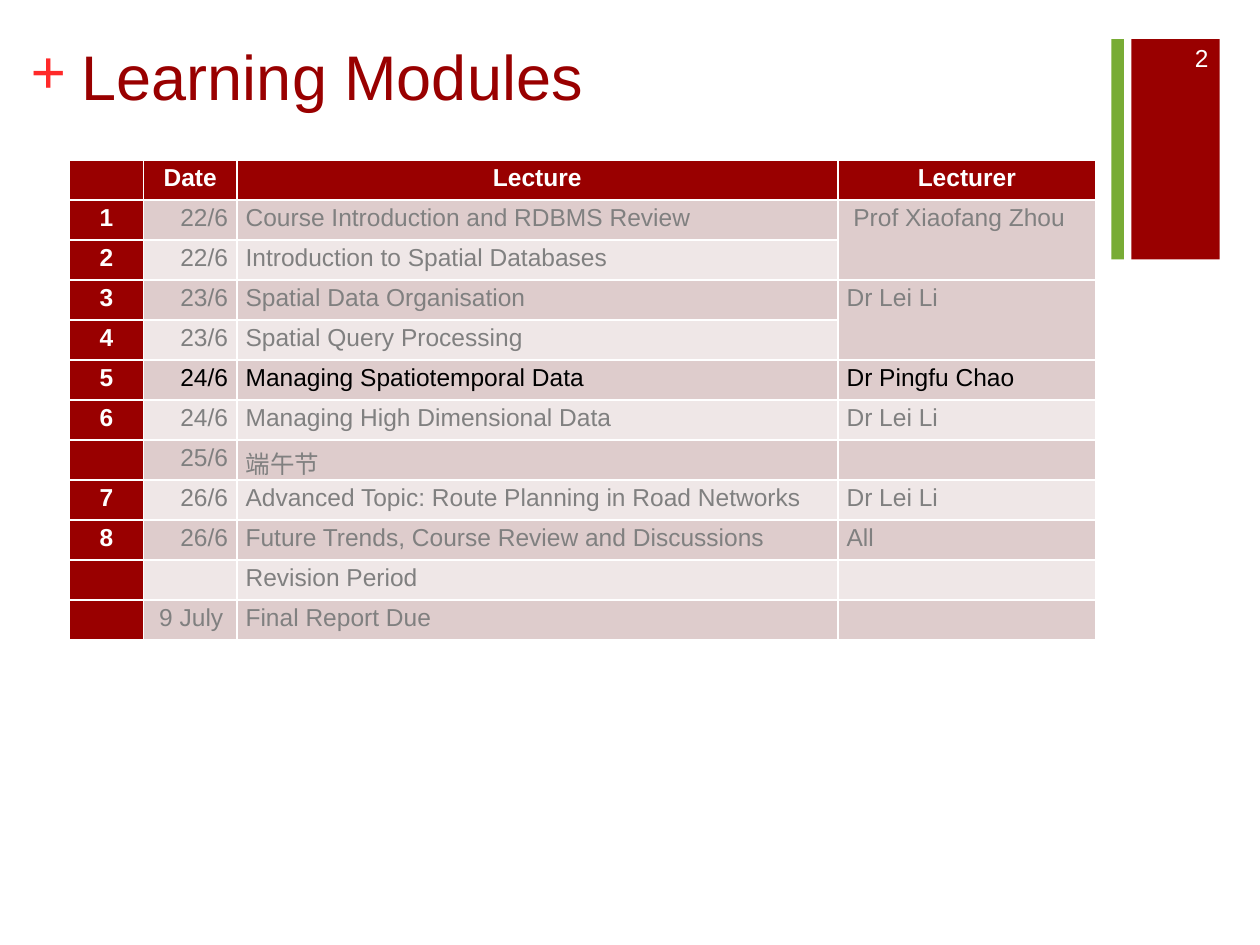
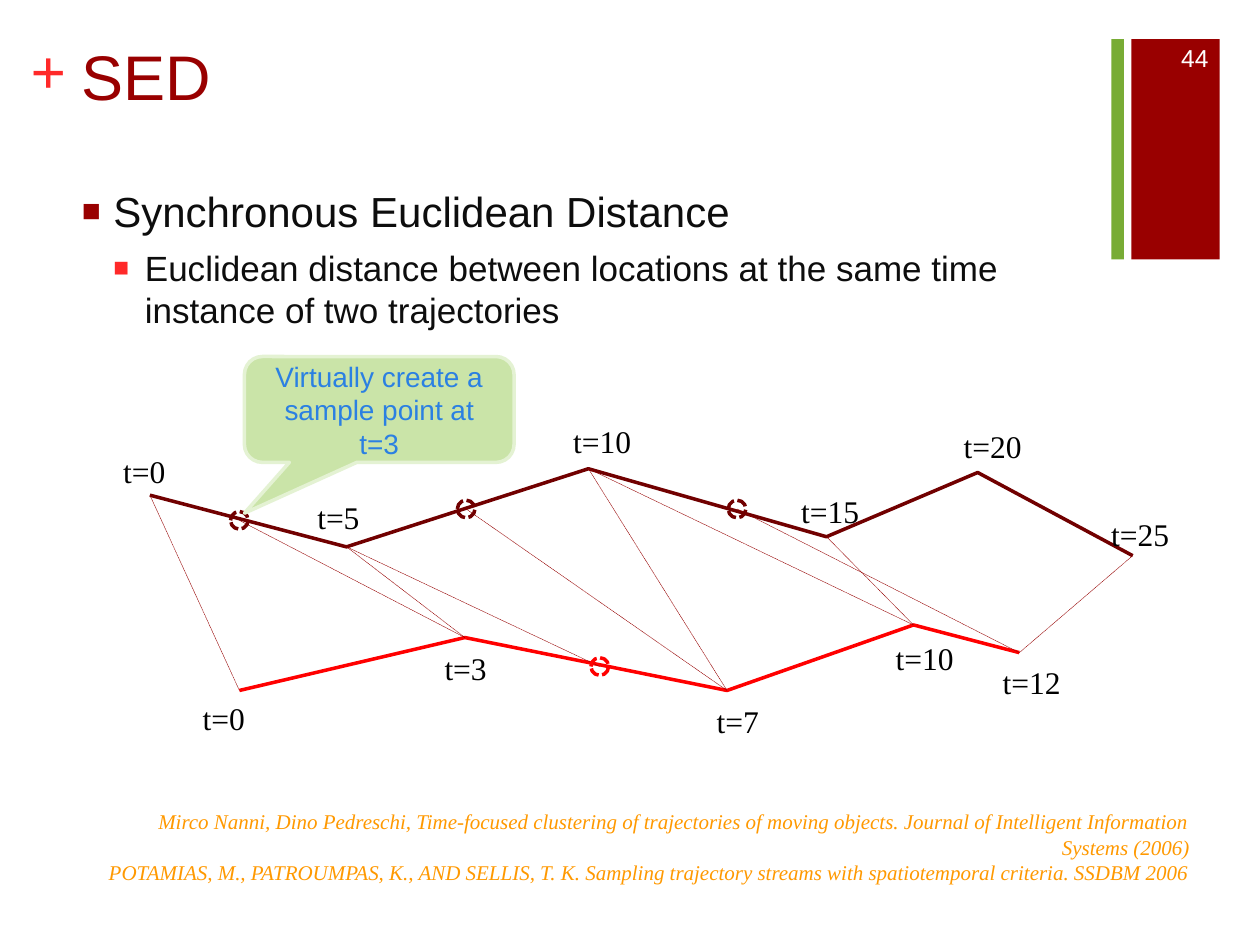
from lxml import etree
from pptx import Presentation
from pptx import util as u
from pptx.dml.color import RGBColor
from pptx.enum import dml, shapes, text
from pptx.oxml.ns import qn

COLORS = {
    "crimson": "990000", "red": "FF2929", "green": "78AC35", "white": "FFFFFF",
    "black": "000000", "body": "0D0D0D", "muted": "808080",
    "row_odd": "DECCCC", "row_even": "EFE7E7", "citation": "FF9900",
    "upper": "710000", "lower": "FF0000", "link": "960000",
    "callout": "CAE4A8", "callout_edge": "E4F2D3", "callout_text": "2B80E2",
}
SANS, SERIF = "Arial", "Times New Roman"
LEFT, CENTER, RIGHT = text.PP_ALIGN.LEFT, text.PP_ALIGN.CENTER, text.PP_ALIGN.RIGHT

HEADER = ("", "Date", "Lecture", "Lecturer")
MODULES = [
    ("1", "22/6", "Course Introduction and RDBMS Review", " Prof Xiaofang Zhou"),
    ("2", "22/6", "Introduction to Spatial Databases", ""),
    ("3", "23/6", "Spatial Data Organisation", "Dr Lei Li"),
    ("4", "23/6", "Spatial Query Processing", ""),
    ("5", "24/6", "Managing Spatiotemporal Data", "Dr Pingfu Chao"),
    ("6", "24/6", "Managing High Dimensional Data", "Dr Lei Li"),
    ("", "25/6", "端午节", ""),
    ("7", "26/6", "Advanced Topic: Route Planning in Road Networks", "Dr Lei Li"),
    ("8", "26/6", "Future Trends, Course Review and Discussions", "All"),
    ("", "", "Revision Period", ""),
    ("", " 9 July", "Final Report Due", ""),
]
CURRENT_MODULE = "5"
SHARED_LECTURER_ROWS = [(1, 2), (3, 4)]
COLUMN_WIDTHS = (0.59, 0.74, 4.77, 2.05)

# text, level, size, bullet colour, space before
DEFINITION = [
    ("Synchronous Euclidean Distance", 0, 24, "crimson", 0),
    ("Euclidean distance between locations at the same time instance of two trajectories",
     1, 20, "red", 6),
]
CITATIONS = [
    "Mirco Nanni, Dino Pedreschi, Time-focused clustering of trajectories of moving objects. "
    "Journal of Intelligent Information Systems (2006)",
    "POTAMIAS, M., PATROUMPAS, K., AND SELLIS, T. K. Sampling trajectory streams with "
    "spatiotemporal criteria. SSDBM 2006",
]
# time: (point, left and top of its label)
TRAJECTORIES = {
    "upper": {0: ((1.19, 3.93), (0.88, 3.54)), 5: ((2.75, 4.34), (2.42, 3.9)),
              10: ((4.67, 3.72), (4.45, 3.3)), 15: ((6.56, 4.26), (6.26, 3.86)),
              20: ((7.76, 3.75), (7.55, 3.34)), 25: ((8.99, 4.41), (8.72, 4.04))},
    "lower": {0: ((1.9, 5.48), (1.51, 5.5)), 3: ((3.69, 5.06), (3.43, 5.1)),
              7: ((5.77, 5.48), (5.59, 5.52)), 10: ((7.25, 4.96), (7.01, 5.02)),
              12: ((8.09, 5.18), (7.86, 5.21))},
}
VIRTUAL_POINTS = {
    "upper": {3: (1.9, 4.13), 7: (3.7, 4.04), 12: (5.85, 4.04)},
    "lower": {5: (4.76, 5.29)},
}
# time on the upper trajectory, time on the lower one
LINKS = [(0, 0), (3, 3), (5, 5), (12, 12), (10, 10), (7, 7), (5, 3), (15, 10), (10, 7), (25, 12)]


def rgb(name):
    return RGBColor.from_string(COLORS[name])


def inches(*values):
    return [u.Inches(value) for value in values]


def style(paragraph, size, color, font=SANS, align=LEFT, bold=False, italic=False):
    paragraph.alignment = align
    paragraph.font.size = u.Pt(size)
    paragraph.font.name = font
    paragraph.font.bold = bold
    paragraph.font.italic = italic
    paragraph.font.color.rgb = rgb(color)


def outline(shape, color, width, dashed=False):
    shape.line.color.rgb = rgb(color)
    shape.line.width = u.Pt(width)
    if dashed:
        shape.line.dash_style = dml.MSO_LINE.SQUARE_DOT


def add_text(slide, box, lines, size, color, wrap=True, inset=True, **options):
    frame = slide.shapes.add_textbox(*inches(*box)).text_frame
    frame.word_wrap = wrap
    if not wrap:
        frame.auto_size = text.MSO_AUTO_SIZE.SHAPE_TO_FIT_TEXT
    if not inset:
        frame.margin_left = frame.margin_top = frame.margin_right = frame.margin_bottom = 0
    frame.text = "\n".join(lines)
    for paragraph in frame.paragraphs:
        style(paragraph, size, color, **options)
    return frame


def add_shape(slide, kind, box, fill=None):
    shape = slide.shapes.add_shape(kind, *inches(*box))
    shape.shadow.inherit = False
    if fill:
        shape.fill.solid()
        shape.fill.fore_color.rgb = rgb(fill)
    else:
        shape.fill.background()
    return shape


def place(placeholder, box):
    placeholder.left, placeholder.top, placeholder.width, placeholder.height = inches(*box)
    placeholder.text_frame.vertical_anchor = text.MSO_ANCHOR.TOP
    placeholder.text_frame.auto_size = text.MSO_AUTO_SIZE.NONE
    return placeholder.text_frame


def add_slide(presentation, layout, title, number):
    """Add a slide with the shared bands, plus sign, title and page number."""
    slide = presentation.slides.add_slide(presentation.slide_layouts[layout])
    for left, width, color in ((8.98, 0.7, "crimson"), (8.82, 0.1, "green")):
        band = add_shape(slide, shapes.MSO_SHAPE.RECTANGLE, (left, 0.31, width, 1.75), color)
        band.line.fill.background()
    add_text(slide, (0.24, 0.25, 0.29, 0.61), ["+"], 36, "red",
             inset=False, font=SERIF, bold=True)
    frame = place(slide.shapes.title, (0.55, 0.2, 8.26, 1.22))
    frame.margin_top = u.Inches(0.1)
    frame.text = title
    style(frame.paragraphs[0], 36, "crimson")
    frame = add_text(slide, (9.08, 0.26, 0.61, 0.4), [str(number)], 14, "white", align=RIGHT)
    frame.vertical_anchor = text.MSO_ANCHOR.MIDDLE
    return slide


def add_module_table(slide):
    rows = [HEADER] + MODULES
    table = slide.shapes.add_table(len(rows), len(HEADER),
                                   *inches(0.55, 1.27, sum(COLUMN_WIDTHS), 3.81)).table
    table.first_col = True
    for column, width in zip(table.columns, COLUMN_WIDTHS):
        column.width = u.Inches(width)
    for r, row in enumerate(rows):
        for c, value in enumerate(row):
            heading = r == 0 or c == 0
            cell = table.cell(r, c)
            cell.margin_left = cell.margin_right = u.Inches(0.07)
            cell.margin_top = cell.margin_bottom = 0
            cell.fill.solid()
            cell.fill.fore_color.rgb = rgb(
                "crimson" if heading else "row_odd" if r % 2 else "row_even")
            cell.text = value
            color = "white" if heading else "black" if row[0] == CURRENT_MODULE else "muted"
            align = CENTER if heading else RIGHT if c == 1 and "/" in value else LEFT
            paragraph = cell.text_frame.paragraphs[0]
            paragraph.line_spacing = 1.15
            style(paragraph, 14, color, align=align, bold=heading)
    for first, last in SHARED_LECTURER_ROWS:
        table.cell(first, 3).merge(table.cell(last, 3))


def add_bullet(paragraph, color, left):
    properties = paragraph._p.get_or_add_pPr()
    properties.set("marL", str(u.Inches(left)))
    properties.set("indent", str(u.Inches(-0.25)))
    bullet_color = etree.SubElement(properties, qn("a:buClr"))
    etree.SubElement(bullet_color, qn("a:srgbClr"), val=COLORS[color])
    etree.SubElement(properties, qn("a:buSzPct"), val="75000")
    etree.SubElement(properties, qn("a:buFont"), typeface=SANS)
    etree.SubElement(properties, qn("a:buChar"), char="■")


def add_definition(slide):
    frame = place(slide.placeholders[1], (0.55, 1.42, 8.26, 5.42))
    frame.text = "\n".join(item[0] for item in DEFINITION)
    for paragraph, (_, level, size, color, before) in zip(frame.paragraphs, DEFINITION):
        paragraph.level = level
        paragraph.space_before = u.Pt(before)
        add_bullet(paragraph, color, 0.25 * (level + 1))
        style(paragraph, size, "body")


def add_trajectory(slide, name):
    points = [inches(*point) for point, _ in TRAJECTORIES[name].values()]
    builder = slide.shapes.build_freeform(*points[0])
    builder.add_line_segments(points[1:], close=False)
    line = builder.convert_to_shape()
    line.shadow.inherit = False
    line.fill.background()
    outline(line, name, 2)
    for time, (_, corner) in TRAJECTORIES[name].items():
        width = 0.54 if time < 10 else 0.67
        add_text(slide, (*corner, width, 0.4), [f"t={time}"], 18, "black",
                 wrap=False, font=SERIF)


def add_virtual_points(slide, name):
    size = 0.14
    for x, y in VIRTUAL_POINTS[name].values():
        box = (x - size / 2, y - size / 2, size, size)
        outline(add_shape(slide, shapes.MSO_SHAPE.OVAL, box), name, 2, dashed=True)


def find_point(name, time):
    if time in VIRTUAL_POINTS[name]:
        return VIRTUAL_POINTS[name][time]
    return TRAJECTORIES[name][time][0]


def add_links(slide):
    for upper_time, lower_time in LINKS:
        ends = find_point("upper", upper_time) + find_point("lower", lower_time)
        link = slide.shapes.add_connector(shapes.MSO_CONNECTOR.STRAIGHT, *inches(*ends))
        outline(link, "link", 0.25, dashed=True)
        etree.SubElement(link._element.spPr, qn("a:effectLst"))


def add_callout(slide):
    callout = add_shape(slide, shapes.MSO_SHAPE.ROUNDED_RECTANGULAR_CALLOUT,
                        (1.94, 2.83, 2.14, 0.84), "callout")
    for index, value in enumerate((-0.5, 0.98, 0.17)):
        callout.adjustments[index] = value
    outline(callout, "callout_edge", 2)
    frame = callout.text_frame
    frame.word_wrap = True
    frame.vertical_anchor = text.MSO_ANCHOR.MIDDLE
    frame.text = "Virtually create a sample point at t=3"
    style(frame.paragraphs[0], 16, "callout_text", align=CENTER)


def main():
    presentation = Presentation()
    presentation.slide_width, presentation.slide_height = inches(10, 7.5)

    add_module_table(add_slide(presentation, 5, "Learning Modules", 2))

    slide = add_slide(presentation, 1, "SED", 44)
    add_definition(slide)
    add_text(slide, (0.64, 6.37, 8.9, 0.71), CITATIONS, 12, "citation",
             font=SERIF, align=RIGHT, italic=True)
    for name in TRAJECTORIES:
        add_trajectory(slide, name)
    add_links(slide)
    for name in VIRTUAL_POINTS:
        add_virtual_points(slide, name)
    add_callout(slide)

    presentation.save("out.pptx")


if __name__ == "__main__":
    main()
